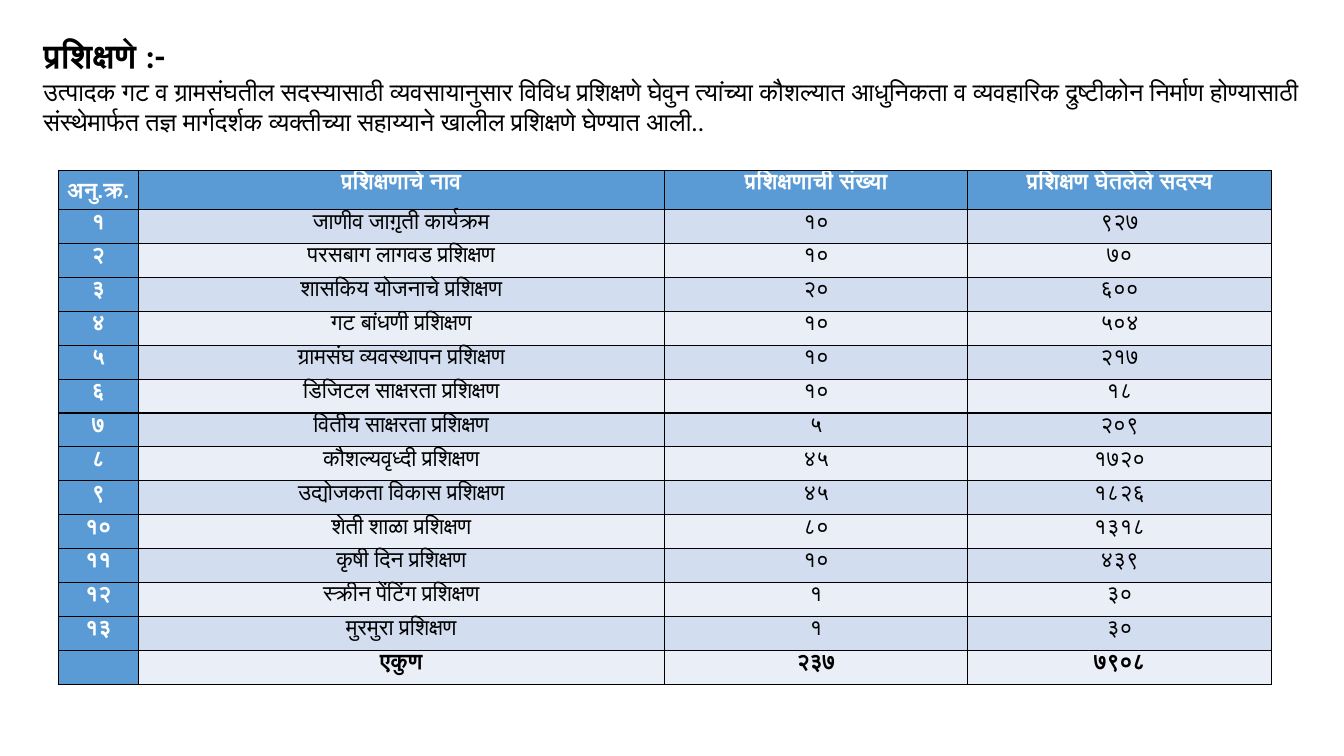
from lxml import etree
from pptx import Presentation
from pptx import util as u
from pptx.dml import color
from pptx.enum import text
from pptx.oxml import ns

COLORS = {"black": "000000", "white": "FFFFFF", "header": "5B9BD5",
          "odd_row": "D2DEEF", "even_row": "EAEFF7"}
HEADERS = ["अनु.क्र.", "प्रशिक्षणाचे नाव", "प्रशिक्षणाची संख्या", "प्रशिक्षण घेतलेले सदस्य"]
TRAININGS = [
    ("१", "जाणीव जाग़ृती कार्यक्रम", "१०", "९२७"),
    ("२", "परसबाग लागवड प्रशिक्षण", "१०", "७०"),
    ("३", "शासकिय योजनाचे प्रशिक्षण", "२०", "६००"),
    ("४", "गट बांधणी प्रशिक्षण", "१०", "५०४"),
    ("५", "ग्रामसंघ व्यवस्थापन प्रशिक्षण", "१०", "२१७"),
    ("६", "डिजिटल साक्षरता प्रशिक्षण", "१०", "१८"),
    ("७", "वितीय साक्षरता प्रशिक्षण", "५", "२०९"),
    ("८", "कौशल्यवृध्दी प्रशिक्षण", "४५", "१७२०"),
    ("९", "उद्योजकता विकास प्रशिक्षण", "४५", "१८२६"),
    ("१०", "शेती शाळा प्रशिक्षण", "८०", "१३१८"),
    ("११", "कृषी दिन प्रशिक्षण", "१०", "४३९"),
    ("१२", "स्क्रीन पेंटिंग प्रशिक्षण", "१", "३०"),
    ("१३", "मुरमुरा प्रशिक्षण", "१", "३०"),
]
TOTAL = ("", "एकुण", "२३७", "७९०८")
INTRO = ("उत्पादक गट व ग्रामसंघतील सदस्यासाठी व्यवसायानुसार विविध प्रशिक्षणे घेवुन त्यांच्या "
         "कौशल्यात आधुनिकता व व्यवहारिक द्रुष्टीकोन निर्माण होण्यासाठी संस्थेमार्फत तज्ञ मार्गदर्शक "
         "व्यक्तीच्या सहाय्याने खालील प्रशिक्षणे घेण्यात आली..")


def write(frame, content, size, bold, color_name, alignment):
    """Fill a text frame with one paragraph and format it."""
    frame.text = content
    paragraph = frame.paragraphs[0]
    paragraph.alignment = alignment
    for run in paragraph.runs:
        run.font.name = "Calibri"
        run.font.size = u.Pt(size)
        run.font.bold = bold
        run.font.color.rgb = color.RGBColor.from_string(COLORS[color_name])
    return paragraph


def add_borders(cell):
    properties = cell._tc.get_or_add_tcPr()
    for side in ("a:lnL", "a:lnR", "a:lnT", "a:lnB"):
        line = etree.SubElement(properties, ns.qn(side), w=str(u.Pt(1)))
        fill = etree.SubElement(line, ns.qn("a:solidFill"))
        etree.SubElement(fill, ns.qn("a:srgbClr"), val=COLORS["black"])


presentation = Presentation()
presentation.slide_width = u.Inches(13.33)
presentation.slide_height = u.Inches(7.5)
slide = presentation.slides.add_slide(presentation.slide_layouts[5])

# Heading and introduction
title = slide.shapes.title
title.left, title.top = u.Inches(0.33), u.Inches(0.3)
title.width, title.height = u.Inches(12.73), u.Inches(0.5)
intro = slide.shapes.add_textbox(u.Inches(0.33), u.Inches(0.71), u.Inches(12.73), u.Inches(0.7))
for shape, content, size, bold in ((title, "प्रशिक्षणे :-", 24, True), (intro, INTRO, 18, False)):
    frame = shape.text_frame
    frame.word_wrap = True
    frame.auto_size = text.MSO_AUTO_SIZE.NONE
    frame.vertical_anchor = text.MSO_ANCHOR.TOP
    write(frame, content, size, bold, "black", text.PP_ALIGN.LEFT)

# Training table
rows = [HEADERS, *TRAININGS, TOTAL]
header_height, table_height = 0.39, 5.1
row_height = (table_height - header_height) / (len(rows) - 1)
table = slide.shapes.add_table(len(rows), len(HEADERS), u.Inches(0.58), u.Inches(1.69),
                               u.Inches(12.03), u.Inches(table_height)).table
for column, width in zip(table.columns, (0.79, 5.22, 3.01, 3.01)):
    column.width = u.Inches(width)

for row_index, values in enumerate(rows):
    table.rows[row_index].height = u.Inches(row_height if row_index else header_height)
    for column_index, value in enumerate(values):
        cell = table.cell(row_index, column_index)
        cell.margin_left = cell.margin_right = u.Inches(0.07)
        cell.margin_top = cell.margin_bottom = 0
        is_header = row_index == 0 or column_index == 0
        is_total = row_index == len(rows) - 1
        paragraph = write(cell.text_frame, value, 16, is_header or is_total,
                          "white" if is_header else "black", text.PP_ALIGN.CENTER)
        paragraph.line_spacing = 1.07
        add_borders(cell)
        fill_name = "header" if is_header else "odd_row" if row_index % 2 else "even_row"
        cell.fill.solid()
        cell.fill.fore_color.rgb = color.RGBColor.from_string(COLORS[fill_name])
table.cell(0, 0).vertical_anchor = text.MSO_ANCHOR.MIDDLE

presentation.save("out.pptx")
